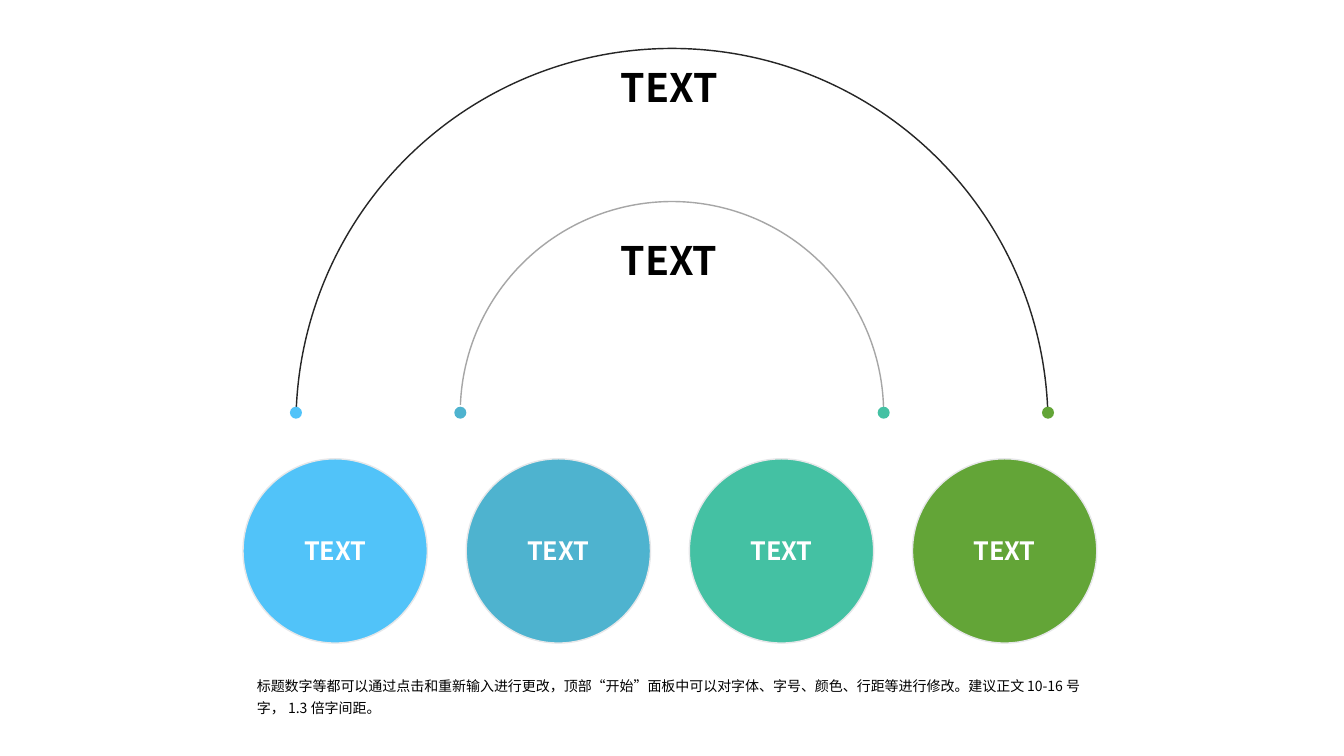
"""Build a slide of two nested arches above a row of four coloured discs."""
from dataclasses import dataclass

from lxml import etree
from pptx import Presentation
from pptx import util as u
from pptx.dml.color import RGBColor
from pptx.enum import shapes, text
from pptx.oxml.ns import qn

FONT = "Noto Sans CJK SC"
BLACK = RGBColor(0x00, 0x00, 0x00)
WHITE = RGBColor(0xFF, 0xFF, 0xFF)
DARK = RGBColor(0x26, 0x26, 0x26)
GREY = RGBColor(0xA6, 0xA6, 0xA6)
PALE = RGBColor(0xE6, 0xE7, 0xE9)
SKY = RGBColor(0x51, 0xC3, 0xF9)
BLUE = RGBColor(0x4E, 0xB3, 0xCF)
TEAL = RGBColor(0x44, 0xC1, 0xA3)
GREEN = RGBColor(0x63, 0xA5, 0x37)

CENTER_X = 480
DOT_Y, DOT_SIZE = 294.8, 8.6
DISC_LEFT, DISC_TOP, DISC_SIZE, DISC_PITCH = 173.6, 327.7, 131.6, 159.4
NOTE = ("标题数字等都可以通过点击和重新输入进行更改，顶部“开始”面板中可以对字体、字号、"
        "颜色、行距等进行修改。建议正文10-16号字，1.3倍字间距。")


@dataclass
class Arch:
    center_y: float
    radius: float
    line: RGBColor
    left_dot: RGBColor
    right_dot: RGBColor
    label_top: float


ARCHES = [
    Arch(303.2, 268.6, DARK, SKY, GREEN, 41.8),
    Arch(295.2, 151.2, GREY, BLUE, TEAL, 165.6),
]


def add_round(slide, kind, left: float, top: float, size: float, fill=None, line=None):
    """Add a square-bounded shape with an optional fill and outline."""
    shape = slide.shapes.add_shape(kind, u.Pt(left), u.Pt(top), u.Pt(size), u.Pt(size))
    shape.shadow.inherit = False
    if fill is None:
        shape.fill.background()
    else:
        shape.fill.solid()
        shape.fill.fore_color.rgb = fill
    if line is None:
        shape.line.fill.background()
    else:
        shape.line.color.rgb = line
        shape.line.width = u.Pt(1)
    return shape


def write(box, words: str, size: float, color: RGBColor, bold: bool, align, anchor) -> None:
    """Put one formatted paragraph into a shape."""
    frame = box.text_frame
    frame.text = words
    frame.vertical_anchor = anchor
    para = frame.paragraphs[0]
    para.alignment = align
    span = para.runs[0]
    span.font.size = u.Pt(size)
    span.font.bold = bold
    span.font.name = FONT
    span.font.color.rgb = color
    etree.SubElement(span.font._element, qn("a:ea"), typeface=FONT)


def place(box, left: float, top: float, width: float, height: float) -> None:
    """Set the bounds of a box."""
    box.left, box.top = u.Pt(left), u.Pt(top)
    box.width, box.height = u.Pt(width), u.Pt(height)


def draw_arch(slide, arch: Arch) -> None:
    """Draw an arch with a dot at each foot."""
    curve = add_round(slide, shapes.MSO_SHAPE.BLOCK_ARC, CENTER_X - arch.radius,
                      arch.center_y - arch.radius, 2 * arch.radius, line=arch.line)
    for index, value in enumerate((109.432, 214.882, 0)):
        curve.adjustments[index] = value
    for side, color in ((-1, arch.left_dot), (1, arch.right_dot)):
        add_round(slide, shapes.MSO_SHAPE.OVAL, CENTER_X + side * arch.radius - DOT_SIZE / 2,
                  DOT_Y - DOT_SIZE / 2, DOT_SIZE, fill=color)


def draw_label(box, top: float) -> None:
    """Format a box as the heading of an arch."""
    place(box, 436.3, top, 87.1, 41)
    write(box, "TEXT", 28, BLACK, True, text.PP_ALIGN.LEFT, text.MSO_ANCHOR.TOP)
    box.text_frame.word_wrap = False
    box.text_frame.auto_size = text.MSO_AUTO_SIZE.SHAPE_TO_FIT_TEXT


def draw_disc(slide, index: int, color: RGBColor) -> None:
    """Draw one labelled disc of the row."""
    disc = add_round(slide, shapes.MSO_SHAPE.OVAL, DISC_LEFT + index * DISC_PITCH,
                     DISC_TOP, DISC_SIZE, color, PALE)
    write(disc, "TEXT", 18, WHITE, True, text.PP_ALIGN.CENTER, text.MSO_ANCHOR.MIDDLE)


def draw_note(slide) -> None:
    """Draw the explanatory text under the discs."""
    box = slide.shapes.add_textbox(u.Pt(176.4), u.Pt(476.6), u.Pt(607), u.Pt(39))
    write(box, NOTE, 10, BLACK, False, text.PP_ALIGN.LEFT, text.MSO_ANCHOR.TOP)
    box.text_frame.word_wrap = True
    box.text_frame.auto_size = text.MSO_AUTO_SIZE.SHAPE_TO_FIT_TEXT
    box.text_frame.paragraphs[0].line_spacing = 1.3


def main() -> None:
    """Build and save the deck."""
    deck = Presentation()
    deck.slide_width, deck.slide_height = u.Pt(960), u.Pt(540)
    page = deck.slides.add_slide(deck.slide_layouts[5])
    for arch in ARCHES:
        draw_arch(page, arch)
    for index, color in enumerate((SKY, BLUE, TEAL, GREEN)):
        draw_disc(page, index, color)
    outer, inner = ARCHES
    draw_label(page.shapes.title, outer.label_top)
    draw_label(page.shapes.add_textbox(0, 0, 0, 0), inner.label_top)
    draw_note(page)
    deck.save("out.pptx")


if __name__ == "__main__":
    main()
